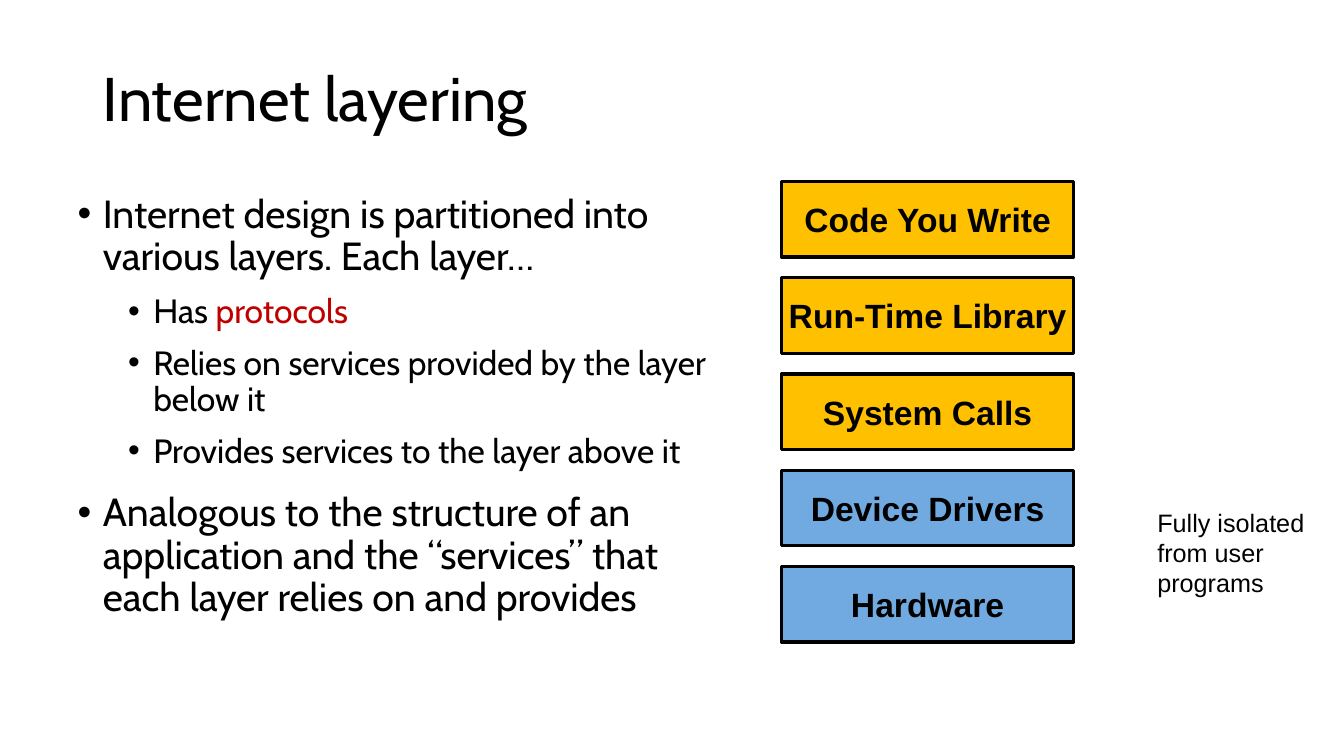
from pptx import Presentation
from pptx import util as u
from pptx.dml.color import RGBColor
from pptx.enum import shapes, text
from lxml import etree

TITLE = "Internet layering"
POINTS = [
    (0, [("Internet design is partitioned into various layers. Each layer…", "ink")]),
    (1, [("Has ", "ink"), ("protocols", "red")]),
    (1, [("Relies on services provided by the layer below it", "ink")]),
    (1, [("Provides services to the layer above it", "ink")]),
    (0, [("Analogous to the structure of an application and the “services” "
          "that each layer relies on and provides", "ink")]),
]
LAYERS = [
    ("Code You Write", "gold"),
    ("Run-Time Library", "gold"),
    ("System Calls", "gold"),
    ("Device Drivers", "blue"),
    ("Hardware", "blue"),
]
NOTE = "Fully isolated from user programs"
COLORS = {"ink": "000000", "red": "C00000", "gold": "FFC000", "blue": "71AAE0"}
LEVELS = [
    {"size": 28, "left": 0.25, "before": 10},
    {"size": 24, "left": 0.75, "before": 5},
]
HANG = 0.25
STACK = {"left": 7.75, "top": 1.8, "wide": 2.9, "high": 0.75, "step": 0.955}


def tint(name):
    return RGBColor.from_string(COLORS[name])


def style(run, face, size, color="ink", bold=False):
    run.font.name = face
    run.font.size = u.Pt(size)
    run.font.bold = bold
    run.font.color.rgb = tint(color)


def place(shape, left, top, wide, high):
    shape.left, shape.top = u.Inches(left), u.Inches(top)
    shape.width, shape.height = u.Inches(wide), u.Inches(high)


def bullet(para, left):
    props = para._p.get_or_add_pPr()
    props.set("marL", str(u.Inches(left)))
    props.set("indent", str(-u.Inches(HANG)))
    space = props.nsmap["a"]
    font = etree.SubElement(props, f"{{{space}}}buFont")
    font.set("typeface", "Arial")
    mark = etree.SubElement(props, f"{{{space}}}buChar")
    mark.set("char", "•")


def head(slide):
    title = slide.shapes.title
    place(title, 0.92, 0.5, 11.5, 1.01)
    frame = title.text_frame
    frame.text = TITLE
    frame.auto_size = text.MSO_AUTO_SIZE.NONE
    frame.vertical_anchor = text.MSO_ANCHOR.MIDDLE
    para = frame.paragraphs[0]
    para.alignment = text.PP_ALIGN.LEFT
    para.line_spacing = 0.9
    style(para.runs[0], "Cabin", 44)


def body(slide):
    box = slide.placeholders[1]
    place(box, 0.67, 1.88, 6.75, 4.82)
    frame = box.text_frame
    frame.auto_size = text.MSO_AUTO_SIZE.NONE
    for row, (level, parts) in enumerate(POINTS):
        para = frame.add_paragraph() if row else frame.paragraphs[0]
        look = LEVELS[level]
        para.level = level
        bullet(para, look["left"])
        para.line_spacing = 0.9
        para.space_before = u.Pt(look["before"] if row else 0)
        para.space_after = u.Pt(6)
        for words, color in parts:
            run = para.add_run()
            run.text = words
            style(run, "Cabin", look["size"], color)


def stack(slide):
    for row, (name, color) in enumerate(LAYERS):
        box = slide.shapes.add_shape(shapes.MSO_SHAPE.RECTANGLE, 0, 0, 0, 0)
        place(box, STACK["left"], STACK["top"] + row * STACK["step"],
              STACK["wide"], STACK["high"])
        box.shadow.inherit = False
        box.fill.solid()
        box.fill.fore_color.rgb = tint(color)
        box.line.color.rgb = tint("ink")
        box.line.width = u.Pt(2.25)
        frame = box.text_frame
        frame.text = name
        frame.word_wrap = False
        frame.vertical_anchor = text.MSO_ANCHOR.MIDDLE
        para = frame.paragraphs[0]
        para.alignment = text.PP_ALIGN.CENTER
        style(para.runs[0], "Arial", 24, bold=True)


def aside(slide):
    box = slide.shapes.add_textbox(0, 0, 0, 0)
    place(box, 11.38, 4.98, 1.92, 1.01)
    frame = box.text_frame
    frame.text = NOTE
    frame.word_wrap = True
    frame.auto_size = text.MSO_AUTO_SIZE.SHAPE_TO_FIT_TEXT
    style(frame.paragraphs[0].runs[0], "Arial", 18)


def main():
    deck = Presentation()
    deck.slide_width, deck.slide_height = u.Inches(13.33), u.Inches(7.5)
    slide = deck.slides.add_slide(deck.slide_layouts[1])
    head(slide)
    body(slide)
    stack(slide)
    aside(slide)
    deck.save("out.pptx")


if __name__ == "__main__":
    main()
